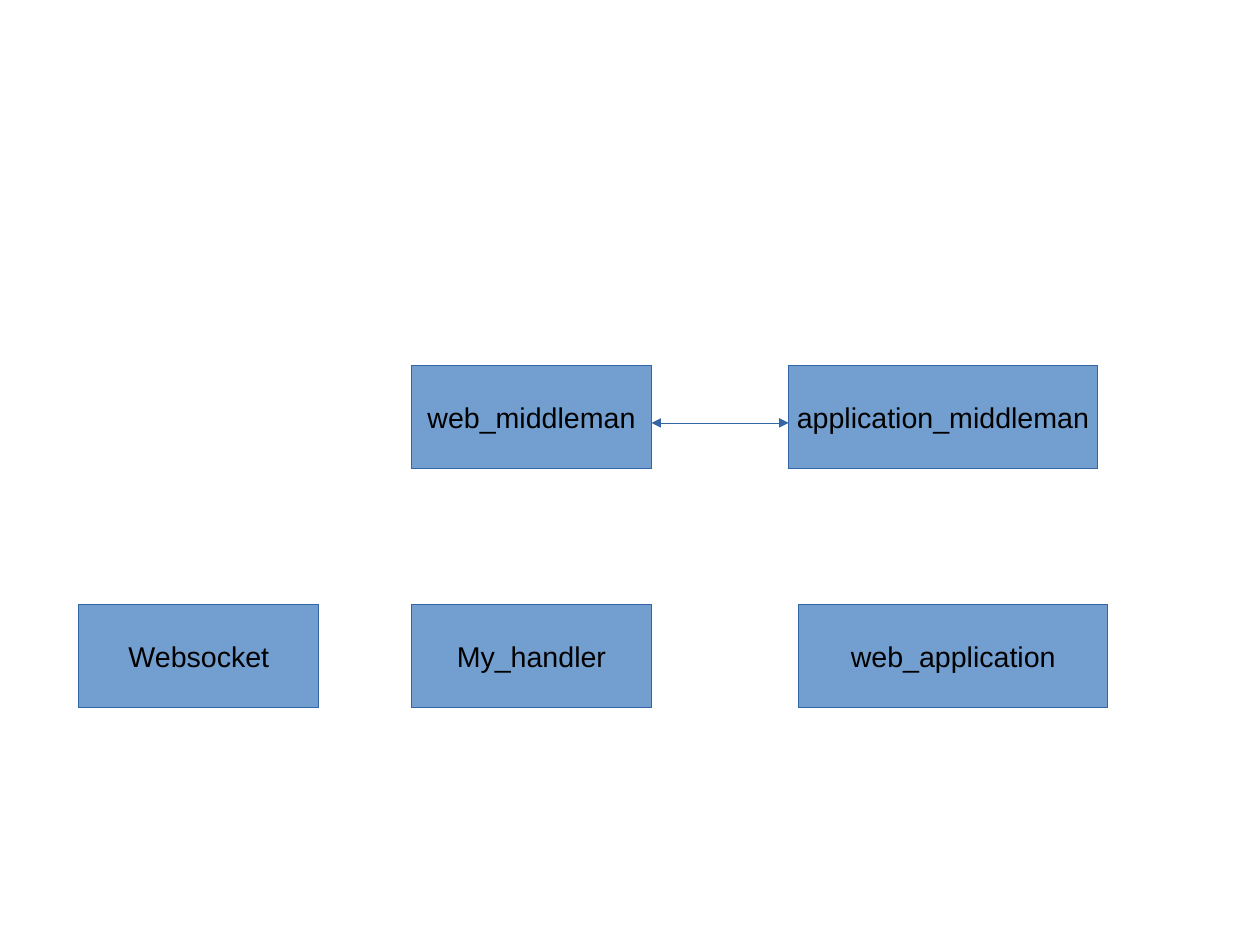
from lxml.etree import SubElement
from pptx import Presentation
from pptx.dml.color import RGBColor
from pptx.enum.shapes import MSO_CONNECTOR as Link, MSO_SHAPE as Shape
from pptx.enum.text import MSO_ANCHOR as Anchor, PP_ALIGN as Align
from pptx.oxml.ns import qn
from pptx.util import Inches, Pt

FILL = RGBColor(0x72, 0x9F, 0xCF)
EDGE = RGBColor(0x34, 0x65, 0xA4)
INK = RGBColor(0, 0, 0)


class Board:
    """Draws labelled boxes and arrows in one style on a slide."""

    def __init__(self, slide, font="Arial", size=18):
        self.shapes = slide.shapes
        self.font = font
        self.size = size

    def edge(self, item):
        item.line.color.rgb = EDGE
        line = item.line._get_or_add_ln()
        line.set("w", "0")
        return line

    def box(self, label, left, top, width, height=0.9):
        box = self.shapes.add_shape(
            Shape.RECTANGLE, *map(Inches, (left, top, width, height)))
        box.shadow.inherit = False
        box.fill.solid()
        box.fill.fore_color.rgb = FILL
        self.edge(box)
        frame = box.text_frame
        frame.text = label
        frame.word_wrap = False
        frame.vertical_anchor = Anchor.MIDDLE
        para = frame.paragraphs[0]
        para.alignment = Align.CENTER
        font = para.runs[0].font
        font.name = self.font
        font.size = Pt(self.size)
        font.color.rgb = INK

    def arrow(self, left, right, level):
        arrow = self.shapes.add_connector(
            Link.STRAIGHT, *map(Inches, (left, level, right, level)))
        line = self.edge(arrow)
        for end in ("a:headEnd", "a:tailEnd"):
            SubElement(line, qn(end), type="triangle")
        SubElement(arrow._element.spPr, qn("a:effectLst"))


def main():
    deck = Presentation()
    deck.slide_width = Inches(28 / 2.54)
    deck.slide_height = Inches(21 / 2.54)
    board = Board(deck.slides.add_slide(deck.slide_layouts[6]))
    upper, lower = 3.2, 5.29
    slim, wide = 2.1, 2.7
    board.box("Websocket", 0.69, lower, slim)
    board.box("My_handler", 3.6, lower, slim)
    board.box("web_middleman", 3.6, upper, slim)
    board.box("application_middleman", 6.9, upper, wide)
    board.box("web_application", 6.99, lower, wide)
    board.arrow(5.7, 6.9, 3.7)
    deck.save("out.pptx")


if __name__ == "__main__":
    main()
